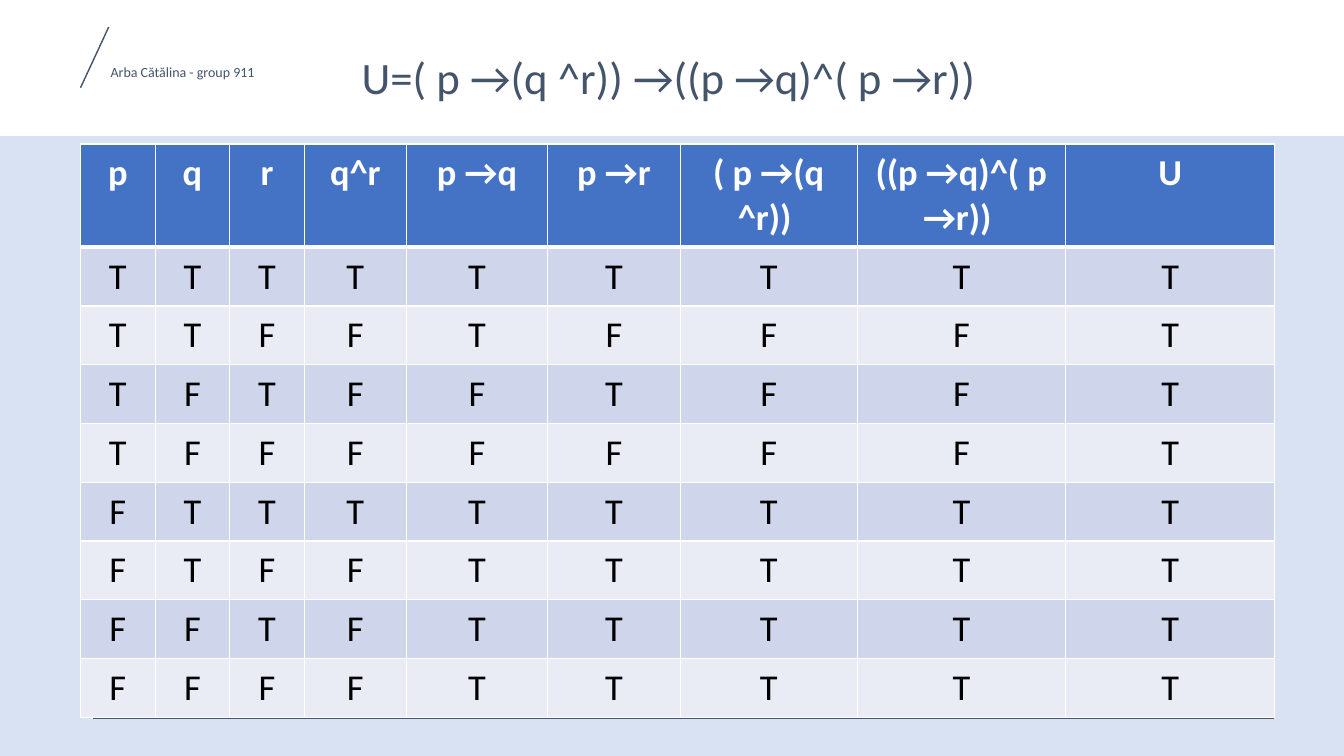
from itertools import product

from lxml import etree
from pptx import Presentation
from pptx import util as u
from pptx.dml.color import RGBColor
from pptx.enum import shapes, text
from pptx.oxml.ns import qn

SLATE, BLUE, WHITE, BLACK = "44546A", "4472C4", "FFFFFF", "000000"
BANDS = ("CFD5EA", "E9EBF5")
HEADINGS = ["p", "q", "r", "q^r", "p →q", "p →r",
            "( p →(q ^r)) ", "((p →q)^( p →r)) ", "U"]
COLUMN_WIDTHS = [1.88, 1.88, 1.88, 2.57, 3.56, 3.35, 4.45, 5.26, 5.26]
HEADER_HEIGHT, ROW_HEIGHT = 2.6, 1.48


def colour(hex_string):
    return RGBColor.from_string(hex_string)


def apply(target, **values):
    for name, value in values.items():
        setattr(target, name, value)


def write(frame, words, size, ink, bold=False, **para_format):
    para = frame.paragraphs[0]
    apply(para, **para_format)
    span = para.add_run()
    span.text = words
    apply(span.font, name="Calibri", size=u.Pt(size), bold=bold)
    span.font.color.rgb = colour(ink)


def add_band(page, left, top, width, height):
    band = page.shapes.add_shape(shapes.MSO_SHAPE.RECTANGLE, left, top, width, height)
    band.shadow.inherit = False
    band.line.fill.background()
    band.fill.solid()
    band.fill.fore_color.rgb = colour(BLUE)
    tint = band.fill._xPr.find(qn("a:solidFill"))[0]
    etree.SubElement(tint, qn("a:alpha"), val="20000")


def add_rule(page, start, end):
    rule = page.shapes.add_connector(shapes.MSO_CONNECTOR.STRAIGHT, *start, *end)
    rule.line.width = u.Pt(1)
    rule.line.color.rgb = colour(SLATE)
    etree.SubElement(rule._element.spPr, qn("a:effectLst"))


def add_heading(page, left, top, width, height):
    # Formula, lifted above the bottom edge of its box
    title = page.shapes.title
    apply(title, left=left, top=top, width=width, height=height)
    apply(title.text_frame, word_wrap=True, auto_size=text.MSO_AUTO_SIZE.NONE,
          vertical_anchor=text.MSO_ANCHOR.BOTTOM, margin_bottom=u.Cm(2.16))
    write(title.text_frame, "U=( p →(q ^r)) →((p →q)^( p →r))", 32, SLATE,
          alignment=text.PP_ALIGN.LEFT, line_spacing=0.9)


def add_author(page, left, top, width, height):
    # Name beside a slanted stroke
    frame = page.shapes.add_textbox(left, top, width, height).text_frame
    apply(frame, word_wrap=True, vertical_anchor=text.MSO_ANCHOR.MIDDLE)
    write(frame, "Arba Cătălina - group 911", 10, SLATE,
          line_spacing=0.9, space_after=u.Pt(6))
    add_rule(page, (left + u.Cm(0.2), top - u.Cm(0.84)),
             (left - u.Cm(0.51), top + u.Cm(0.69)))


def truth_rows():
    for p, q, r in product((True, False), repeat=3):
        p_to_q, p_to_r = not p or q, not p or r
        premise, conclusion = not p or (q and r), p_to_q and p_to_r
        values = (p, q, r, q and r, p_to_q, p_to_r, premise, conclusion,
                  not premise or conclusion)
        yield ["T" if value else "F" for value in values]


def add_borders(cell, **widths):
    props = cell._tc.get_or_add_tcPr()
    for side in ("lnL", "lnR", "lnT", "lnB"):
        line = etree.SubElement(props, qn("a:" + side), w=str(u.Pt(widths.get(side, 1))))
        fill = etree.SubElement(line, qn("a:solidFill"))
        etree.SubElement(fill, qn("a:srgbClr"), val=WHITE)


def add_truth_table(page, left, top):
    rows = [HEADINGS, *truth_rows()]
    heights = [HEADER_HEIGHT] + [ROW_HEIGHT] * (len(rows) - 1)
    table = page.shapes.add_table(len(rows), len(HEADINGS), left, top,
                                  u.Cm(sum(COLUMN_WIDTHS)), u.Cm(sum(heights))).table
    for column, width in zip(table.columns, COLUMN_WIDTHS):
        column.width = u.Cm(width)
    for i, (row, height) in enumerate(zip(rows, heights)):
        table.rows[i].height = u.Cm(height)
        header = i == 0
        thick = {0: {"lnB": 3}, 1: {"lnT": 3}}.get(i, {})
        for j, words in enumerate(row):
            cell = table.cell(i, j)
            add_borders(cell, **thick)
            cell.fill.solid()
            cell.fill.fore_color.rgb = colour(BLUE if header else BANDS[(i - 1) % 2])
            apply(cell, margin_left=u.Cm(0.36), margin_right=u.Cm(0.36),
                  margin_top=u.Cm(0.18), margin_bottom=u.Cm(0.18))
            write(cell.text_frame, words, 26, WHITE if header else BLACK, header,
                  alignment=text.PP_ALIGN.CENTER)


def main():
    deck = Presentation()
    apply(deck, slide_width=u.Cm(33.87), slide_height=u.Cm(19.05))
    page = deck.slides.add_slide(deck.slide_layouts[5])
    band_top = u.Cm(3.43)
    add_band(page, 0, band_top, deck.slide_width, deck.slide_height - band_top)
    add_heading(page, u.Cm(8.86), u.Cm(-0.43), u.Cm(25.73), u.Cm(5.21))
    add_author(page, u.Cm(2.54), u.Cm(1.52), u.Cm(9.65), u.Cm(0.66))
    # Baseline under the table
    add_rule(page, (u.Cm(32.11), u.Cm(18.11)), (u.Cm(2.34), u.Cm(18.11)))
    add_truth_table(page, u.Cm(2.03), u.Cm(3.63))
    deck.save("out.pptx")


if __name__ == "__main__":
    main()
